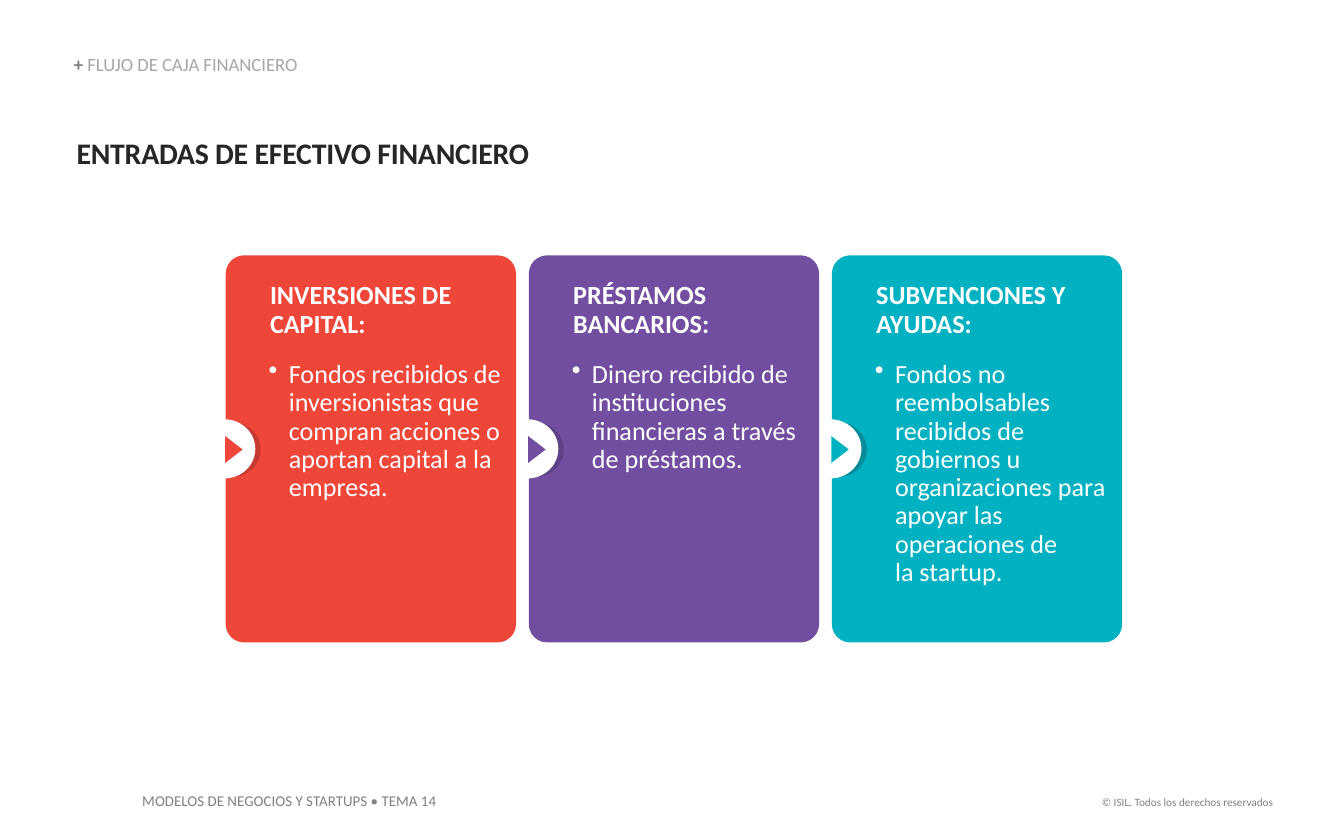
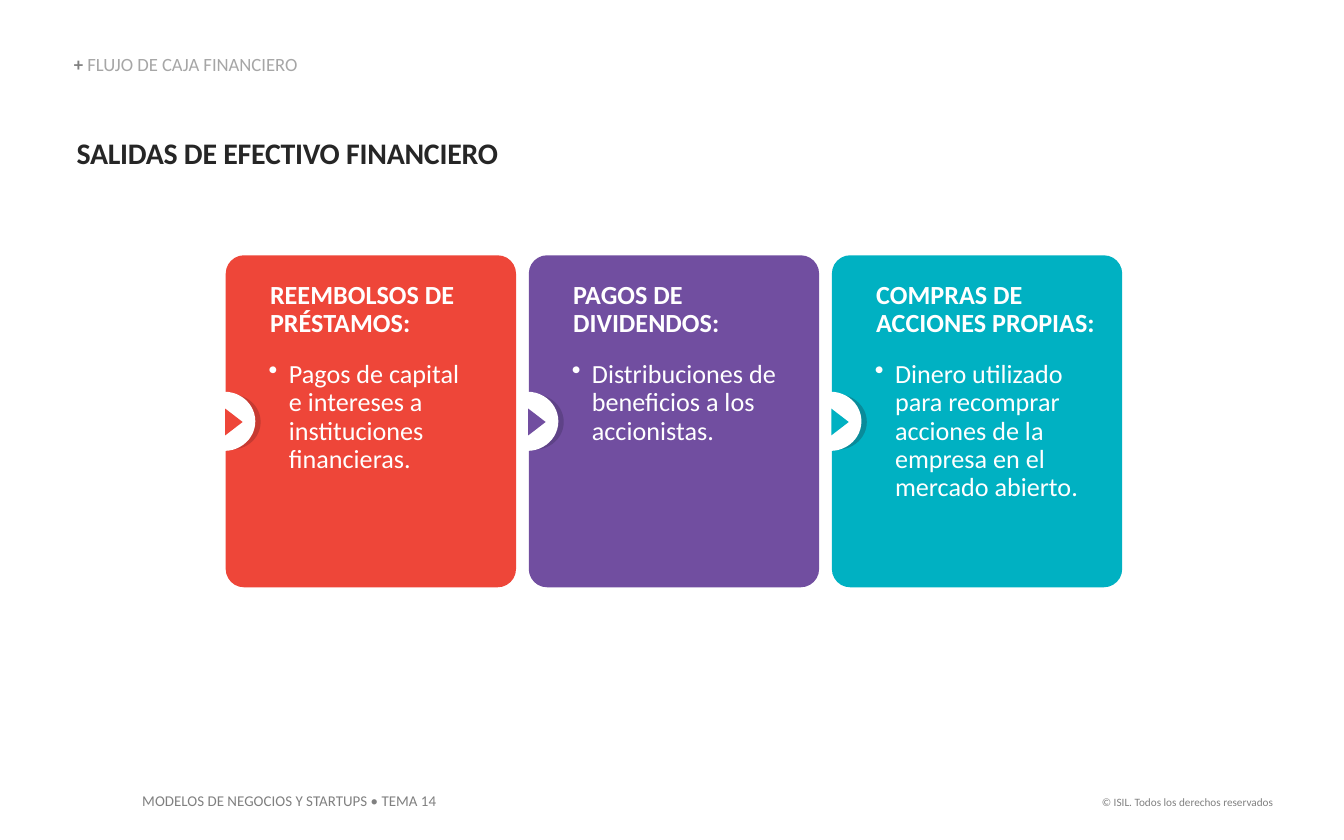
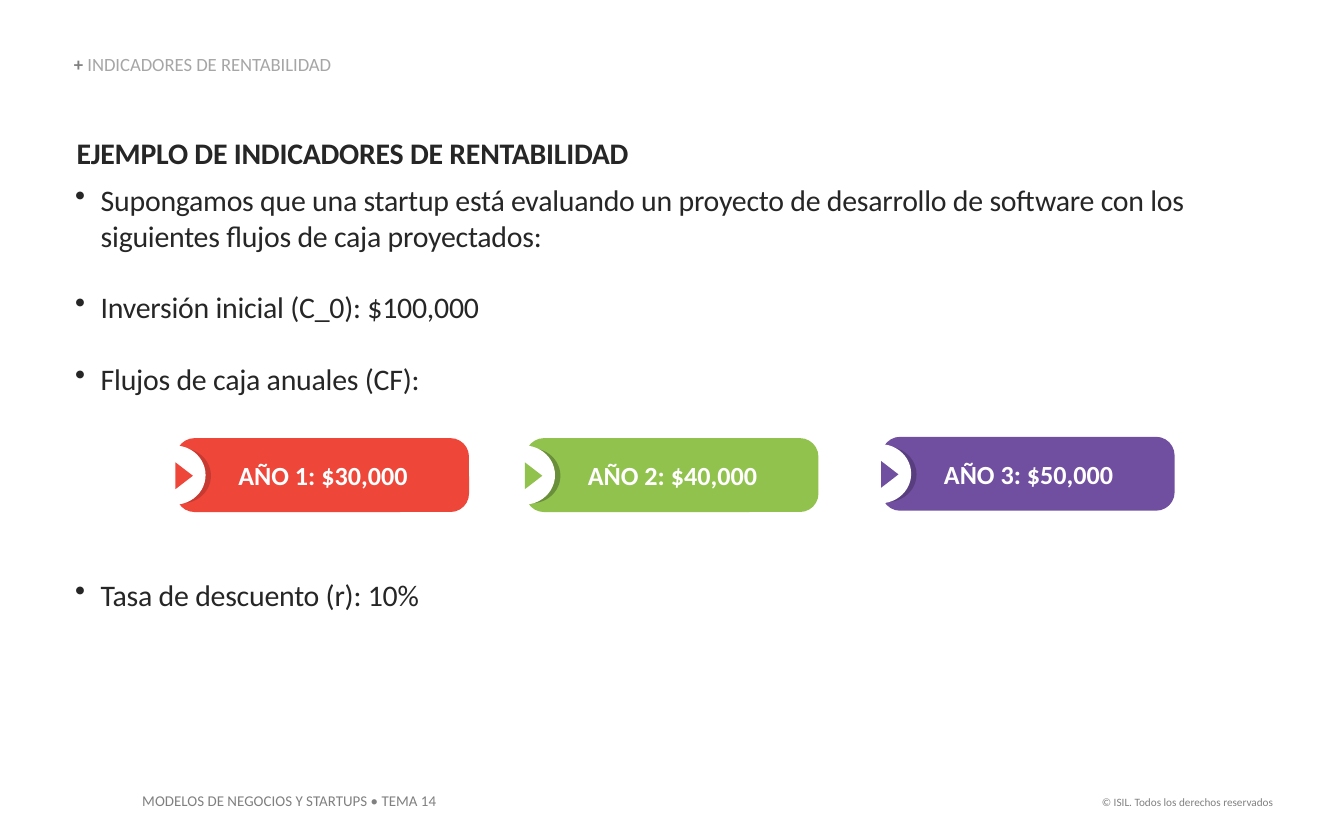
from dataclasses import dataclass

from lxml.etree import SubElement
from pptx import Presentation
from pptx.dml.color import RGBColor
from pptx.enum.shapes import MSO_SHAPE as Shape
from pptx.enum.text import MSO_ANCHOR as Anchor, MSO_AUTO_SIZE as AutoSize, PP_ALIGN as Align
from pptx.oxml.ns import qn
from pptx.util import Inches, Pt


@dataclass(frozen=True)
class Theme:
    font: str = "Calibri"
    white: str = "FFFFFF"
    ink: str = "262626"
    gray: str = "808080"
    light_gray: str = "A6A6A6"
    # fill, badge shade
    red: tuple = ("EE4639", "C73A31")
    purple: tuple = ("714EA0", "5E4287")
    teal: tuple = ("00B1C2", "098B9A")
    green: tuple = ("92C24E", "6A8F3A")
    violet: tuple = ("714FA0", "593E7F")
    title_size: int = 16
    card_size: int = 14
    header_size: int = 10
    footer_size: int = 8
    legal_size: int = 6
    line: float = 19.3


class Deck:
    def __init__(self, theme):
        self.theme = theme
        self.prs = Presentation()
        self.prs.slide_width = Inches(10)
        self.prs.slide_height = Inches(6.25)

    def slide(self, section):
        """Add a slide with the footer and the section header."""
        t = self.theme
        self.s = self.prs.slides.add_slide(self.prs.slide_layouts[6])
        tf = self.text_box(7.88, 5.87, 1.69, 0.2, wrap=False, inset=None)
        self.add_text(tf, "© ISIL. Todos los derechos reservados", size=t.legal_size,
                      color=t.gray, align=Align.RIGHT)
        tf = self.text_box(0.96, 5.84, 2.45, 0.24, wrap=False, inset=None)
        self.add_text(tf, "MODELOS DE NEGOCIOS Y STARTUPS • TEMA 14", size=t.footer_size,
                      color=t.gray)
        tf = self.text_box(0.55, 0.41, 4.25, 0.15, anchor=Anchor.BOTTOM)
        p = self.add_text(tf, "+ ", size=t.header_size, color=t.gray, bold=True, leading=0.9)
        self.add_run(p, section, t.header_size, t.light_gray)

    def text_box(self, x, y, w, h, wrap=True, inset=0, anchor=Anchor.TOP):
        tf = self.s.shapes.add_textbox(Inches(x), Inches(y), Inches(w), Inches(h)).text_frame
        tf.word_wrap = wrap
        tf.auto_size = AutoSize.SHAPE_TO_FIT_TEXT
        tf.vertical_anchor = anchor
        if inset is not None:
            self.insets(tf, inset, inset, inset, inset)
        return tf

    def insets(self, tf, left, top, right, bottom):
        tf.margin_left, tf.margin_top = Inches(left), Inches(top)
        tf.margin_right, tf.margin_bottom = Inches(right), Inches(bottom)

    def add_run(self, p, text, size, color, bold=False, spacing=None):
        r = p.add_run()
        r.text = text
        r.font.name = self.theme.font
        r.font.size = Pt(size)
        r.font.bold = bold
        r.font.color.rgb = RGBColor.from_string(color)
        if spacing is not None:
            r._r.get_or_add_rPr().set("spc", str(round(spacing * 100)))

    def add_text(self, tf, text, *, size, color, bold=False, spacing=None, align=Align.LEFT,
                 indent=0, bullet=False, leading=None, before=None, after=None):
        """Add a paragraph; a bullet hangs by the indent, and a newline breaks the line."""
        p = tf.paragraphs[0]
        if p.runs:
            p = tf.add_paragraph()
        pPr = p._p.get_or_add_pPr()
        pPr.set("marL", str(Inches(indent)))
        if bullet:
            pPr.set("indent", str(-Inches(indent)))
            SubElement(SubElement(pPr, qn("a:buClr")), qn("a:srgbClr")).set("val", color)
            SubElement(pPr, qn("a:buChar")).set("char", "•")
        p.alignment = align
        p.line_spacing = leading
        if before is not None:
            p.space_before = Pt(before)
        if after is not None:
            p.space_after = Pt(after)
        for i, part in enumerate(text.split("\n")):
            if i:
                p.add_line_break()
            self.add_run(p, part, size, color, bold, spacing)
        return p

    def shape(self, kind, x, y, w, h, fill):
        sp = self.s.shapes.add_shape(kind, Inches(x), Inches(y), Inches(w), Inches(h))
        sp.shadow.inherit = False
        sp.fill.solid()
        sp.fill.fore_color.rgb = RGBColor.from_string(fill)
        sp.line.fill.background()
        return sp

    def title(self, text, after=None):
        t = self.theme
        tf = self.text_box(0.56, 1, 8.93, 0.27)
        self.add_text(tf, text, size=t.title_size, color=t.ink, bold=True, spacing=-0.1,
                      indent=0.01, after=after)
        return tf

    def panel(self, x, y, w, h, colors, radius):
        """Rounded block with a round arrow badge on its left edge."""
        fill, shade = colors
        middle = y + h / 2
        sp = self.shape(Shape.ROUNDED_RECTANGLE, x, y, w, h, fill)
        sp.adjustments[0] = radius
        self.shape(Shape.OVAL, x - 0.17, middle - 0.2, 0.43, 0.41, shade)
        self.shape(Shape.OVAL, x - 0.24, middle - 0.22, 0.46, 0.44, self.theme.white)
        arrow = self.shape(Shape.ISOSCELES_TRIANGLE, x - 0.04, middle - 0.06, 0.2, 0.13, fill)
        arrow.rotation = 90
        sp.text_frame.word_wrap = True
        return sp.text_frame

    def cards(self, height, items):
        t = self.theme
        first, last = 1.68, 6.19
        pitch = (last - first) / (len(items) - 1)
        colors = (t.red, t.purple, t.teal)
        # Right to left, so that each card covers the badge of the next one.
        for i, (heading, body) in reversed(list(enumerate(items))):
            tf = self.panel(first + i * pitch, 1.9, 2.16, height, colors[i], 0.063)
            tf.vertical_anchor = Anchor.TOP
            self.insets(tf, 0.28, 0.16, 0, 0.05)
            style = dict(size=t.card_size, color=t.white, leading=0.9)
            self.add_text(tf, heading, bold=True, indent=0.01, after=12, **style)
            self.add_text(tf, body, bullet=True, indent=0.15, **style)

    def pill(self, x, y, text, colors):
        tf = self.panel(x, y, 2.18, 0.55, colors, 0.25)
        tf.vertical_anchor = Anchor.MIDDLE
        self.add_text(tf, text, size=self.theme.card_size, color=self.theme.white, bold=True,
                      align=Align.CENTER, indent=0.01)


def cash_in(deck):
    deck.slide("FLUJO DE CAJA FINANCIERO")
    deck.title("ENTRADAS DE EFECTIVO FINANCIERO")
    deck.cards(2.88, [
        ("INVERSIONES DE CAPITAL:",
         "Fondos recibidos de inversionistas que compran acciones o aportan capital "
         "a la empresa."),
        ("PRÉSTAMOS BANCARIOS:",
         "Dinero recibido de instituciones financieras a través de préstamos."),
        ("SUBVENCIONES Y AYUDAS:",
         "Fondos no reembolsables recibidos de gobiernos u organizaciones para apoyar "
         "las operaciones de \nla startup."),
    ])


def cash_out(deck):
    deck.slide("FLUJO DE CAJA FINANCIERO")
    deck.title("SALIDAS DE EFECTIVO FINANCIERO")
    deck.cards(2.47, [
        ("REEMBOLSOS DE PRÉSTAMOS:",
         "Pagos de capital \ne intereses a instituciones financieras."),
        ("PAGOS DE DIVIDENDOS:", "Distribuciones de beneficios a los accionistas."),
        ("COMPRAS DE ACCIONES PROPIAS:",
         "Dinero utilizado \npara recomprar acciones de la empresa en el mercado abierto."),
    ])


def profitability(deck):
    t = deck.theme
    deck.slide("INDICADORES DE RENTABILIDAD")
    tf = deck.title("EJEMPLO DE INDICADORES DE RENTABILIDAD", after=6)
    for text, lines_before in (
        ("Supongamos que una startup está evaluando un proyecto de desarrollo de software "
         "con los siguientes flujos de caja proyectados:", 0),
        ("Inversión inicial (C_0): $100,000", 1),
        ("Flujos de caja anuales (CF):", 1),
        ("Tasa de descuento (r): 10%", 5),
    ):
        deck.add_text(tf, text, size=t.title_size, color=t.ink, spacing=-0.1, indent=0.19,
                      bullet=True, before=lines_before * t.line)
    deck.pill(6.56, 3.25, "AÑO 3: $50,000", t.violet)
    deck.pill(3.91, 3.26, "AÑO 2: $40,000", t.green)
    deck.pill(1.31, 3.26, "AÑO 1: $30,000", t.red)


def main():
    deck = Deck(Theme())
    cash_in(deck)
    cash_out(deck)
    profitability(deck)
    deck.prs.save("out.pptx")


if __name__ == "__main__":
    main()
